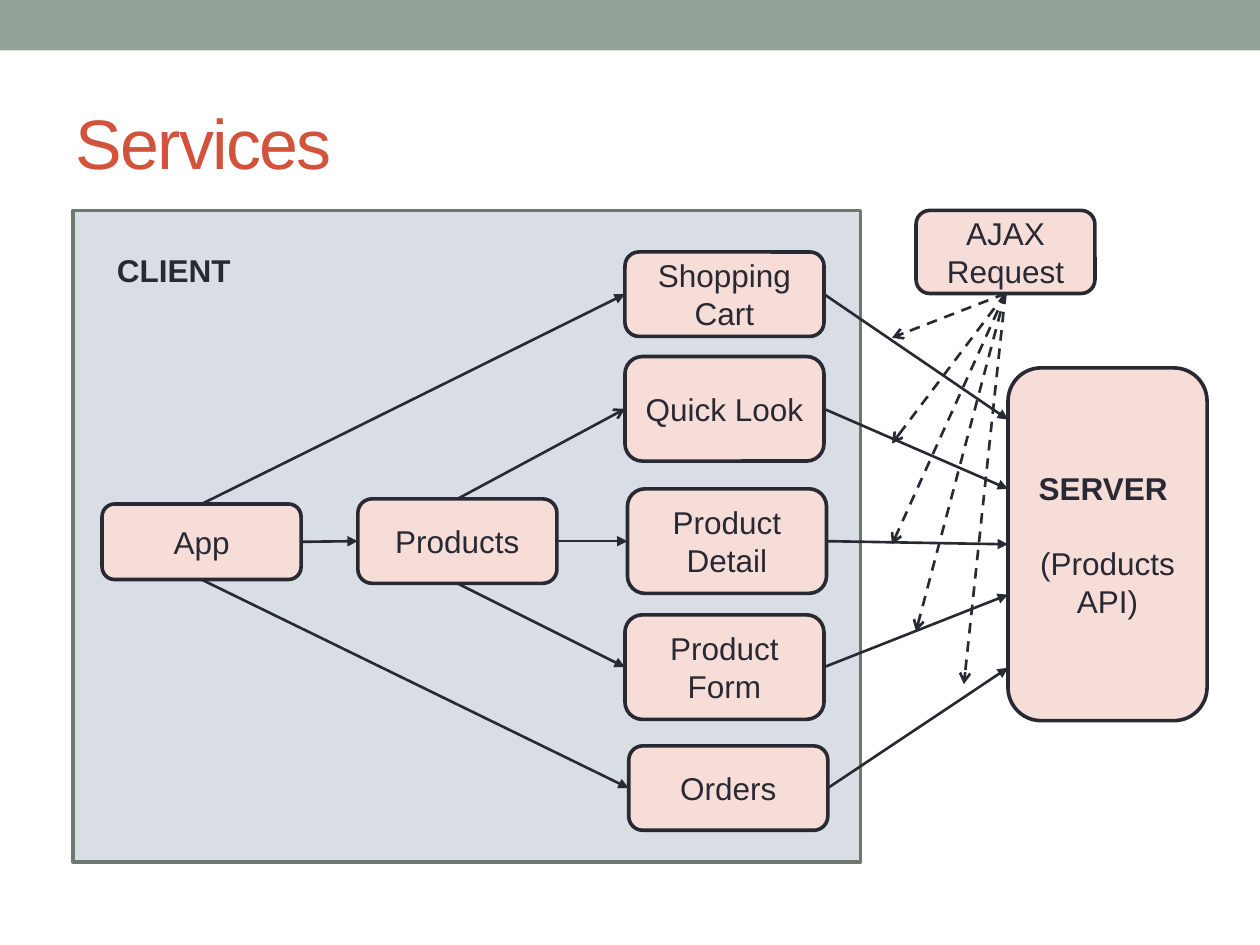
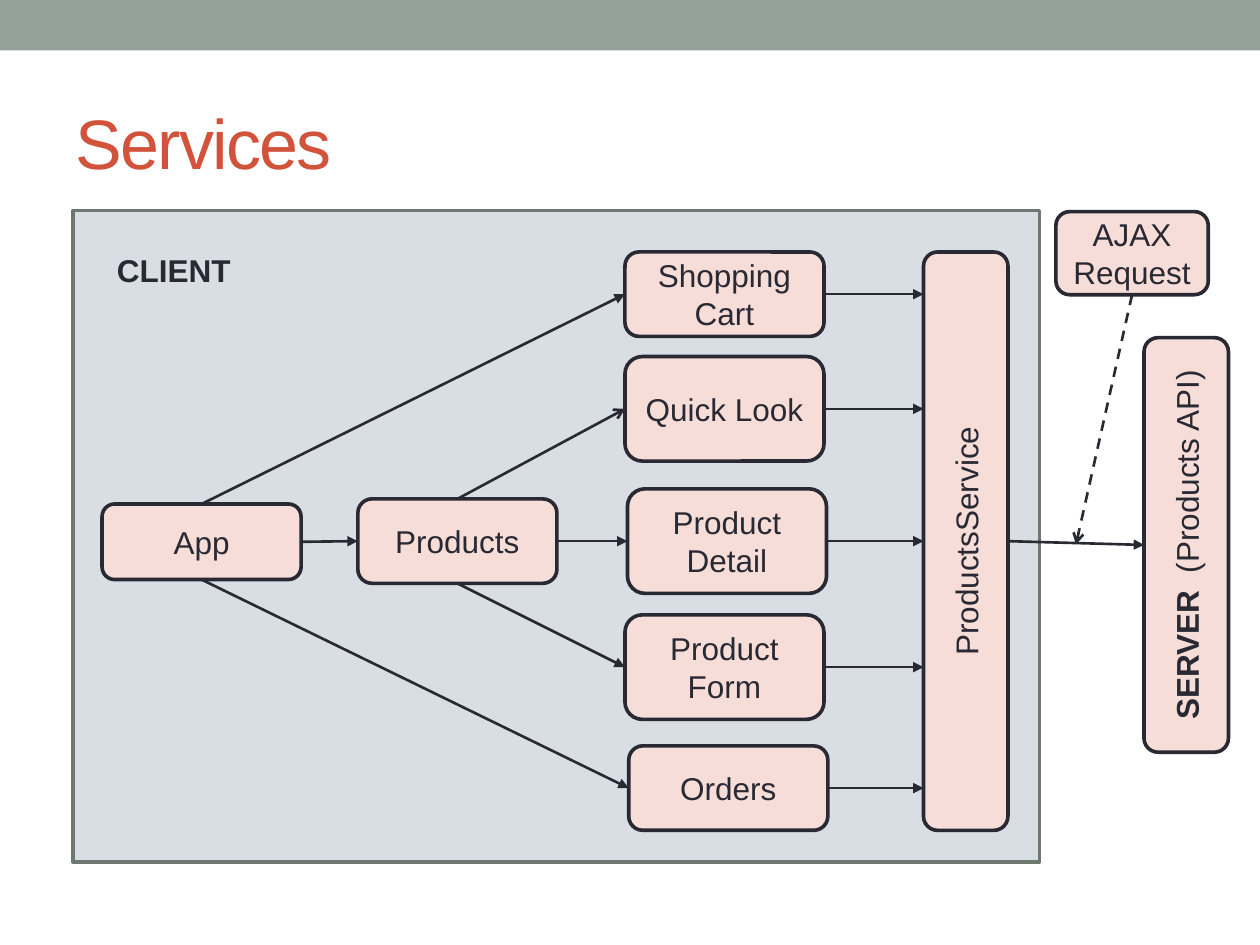
"""Builds two slides showing how a client reaches its server, without and with a service."""
from pptx import Presentation
from pptx.dml.color import RGBColor
from pptx.enum.dml import MSO_LINE
from pptx.enum.shapes import MSO_CONNECTOR, MSO_SHAPE
from pptx.enum.text import MSO_ANCHOR, MSO_AUTO_SIZE, PP_ALIGN
from pptx.oxml.ns import qn
from pptx.util import Inches, Pt
from lxml.etree import SubElement

COLORS = {
    "band": "93A299",
    "title": "D2533C",
    "panel": "D9DEE4",
    "panel_edge": "6D7871",
    "box": "F6DDD8",
    "ink": "292934",
}
TOP, LEFT, BOTTOM, RIGHT = range(4)
BOX_WIDTH = 1.58
EDGE = 2.08


class Diagram:
    """Holds the style and the slide being drawn."""

    font = "Arial"

    def __init__(self):
        self.deck = Presentation()
        self.deck.slide_width, self.deck.slide_height = Inches(10), Inches(7.5)
        self.slide = None

    def color(self, name):
        return RGBColor.from_string(COLORS[name])

    def style(self, paragraph, size=18, color="ink", bold=None, align=PP_ALIGN.LEFT):
        paragraph.alignment = align
        font = paragraph.font
        font.name, font.size, font.bold = self.font, Pt(size), bold
        font.color.rgb = self.color(color)

    def start(self, title):
        self.slide = self.deck.slides.add_slide(self.deck.slide_layouts[5])
        self.shape(MSO_SHAPE.RECTANGLE, (0, 0, 10, 0.4), "band")
        heading = self.slide.shapes.title
        heading.left, heading.top = Inches(0.5), Inches(0.58)
        heading.width, heading.height = Inches(9), Inches(1.08)
        frame = heading.text_frame
        frame.text = title
        frame.auto_size = MSO_AUTO_SIZE.NONE
        frame.vertical_anchor = MSO_ANCHOR.MIDDLE
        self.style(frame.paragraphs[0], 40, "title")
        frame.paragraphs[0].runs[0].font._element.set("spc", "-100")

    def shape(self, kind, place, fill, edge=None):
        shape = self.slide.shapes.add_shape(kind, *map(Inches, place))
        shape.shadow.inherit = False
        shape.fill.solid()
        shape.fill.fore_color.rgb = self.color(fill)
        if edge:
            shape.line.color.rgb = self.color(edge)
            shape.line.width = Pt(EDGE)
        else:
            shape.line.fill.background()
        return shape

    def panel(self, width):
        self.shape(MSO_SHAPE.RECTANGLE, (0.58, 1.67, width, 5.17), "panel", "panel_edge")

    def label(self, place, text):
        frame = self.slide.shapes.add_textbox(*map(Inches, place)).text_frame
        frame.word_wrap = False
        frame.auto_size = MSO_AUTO_SIZE.SHAPE_TO_FIT_TEXT
        frame.text = text
        self.style(frame.paragraphs[0], bold=True)

    def box(self, place, text, turned=False):
        box = self.shape(MSO_SHAPE.ROUNDED_RECTANGLE, place, "box", "ink")
        frame = box.text_frame
        frame.text = text
        frame.word_wrap = True
        frame.vertical_anchor = MSO_ANCHOR.MIDDLE
        if turned:
            frame._txBody.bodyPr.set("vert", "vert270")
        for paragraph in frame.paragraphs:
            self.style(paragraph, align=PP_ALIGN.CENTER)
        return box

    def arrow(self, source, side, target, target_side=None, head="triangle", dashed=False):
        """Draws from a side of a box to a side of another box or to a point."""
        arrow = self.slide.shapes.add_connector(MSO_CONNECTOR.STRAIGHT, 0, 0, 0, 0)
        arrow.begin_connect(source, side)
        if target_side is None:
            arrow.end_x, arrow.end_y = map(Inches, target)
        else:
            arrow.end_connect(target, target_side)
        arrow.line.color.rgb = self.color("ink")
        arrow.line.width = Pt(1.5)
        if dashed:
            arrow.line.dash_style = MSO_LINE.DASH
        SubElement(arrow.line._get_or_add_ln(), qn("a:tailEnd"), type=head)
        SubElement(arrow._element.spPr, qn("a:effectLst"))

    def client(self, panel_width):
        """Draws the client panel and returns its five views from top to bottom."""
        self.start("Services")
        self.panel(panel_width)
        self.label((0.83, 1.94, 1.11, 0.4), "CLIENT")
        app = self.box((0.81, 4, BOX_WIDTH, 0.6), "App")
        products = self.box((2.84, 3.96, BOX_WIDTH, 0.67), "Products")
        views = [
            self.box((left, top, BOX_WIDTH, height), name)
            for name, left, top, height in (
                ("Shopping Cart", 4.96, 2, 0.67),
                ("Quick Look", 4.96, 2.83, 0.83),
                ("Product Detail", 4.98, 3.88, 0.83),
                ("Product Form", 4.96, 4.88, 0.83),
                ("Orders", 4.99, 5.92, 0.67),
            )
        ]
        cart, quick_look, detail, form, orders = views
        self.arrow(app, RIGHT, products, LEFT)
        self.arrow(app, TOP, cart, LEFT)
        self.arrow(app, BOTTOM, orders, LEFT)
        self.arrow(products, TOP, quick_look, LEFT, head="arrow")
        self.arrow(products, RIGHT, detail, LEFT)
        self.arrow(products, BOTTOM, form, LEFT)
        return views

    def server(self, place, turned=False):
        """Draws the server with its name in bold, on one turned line or on two."""
        server = self.box(place, "SERVER ", turned)
        frame = server.text_frame
        name = frame.paragraphs[0]
        name.runs[0].font.bold = True
        if turned:
            name.add_run().text = " (Products API)"
        else:
            name.space_after = Pt(21.5)
            api = frame.add_paragraph()
            api.text = "(Products API)"
            self.style(api, align=PP_ALIGN.CENTER)
        return server

    def request(self, place, targets):
        """Draws the request box and a dashed arrow to each call it stands for."""
        request = self.box(place, "AJAX Request")
        for target in targets:
            self.arrow(request, BOTTOM, target, head="arrow", dashed=True)


diagram = Diagram()

views = diagram.client(6.25)
server_left = 8
diagram.server((server_left, 2.92, BOX_WIDTH, 2.8))
for view, entry in zip(views, (3.33, 3.88, 4.32, 4.72, 5.3)):
    diagram.arrow(view, RIGHT, (server_left, entry))
diagram.request(
    (7.27, 1.67, 1.42, 0.66),
    [(7.08, 2.68), (7.08, 3.52), (7.08, 4.32), (7.27, 5.01), (7.65, 5.43)],
)

views = diagram.client(7.67)
service_left = 7.33
service = diagram.box((service_left, 2, 0.67, 4.59), "ProductsService", turned=True)
for view in views:
    middle = (view.top + view.height / 2) / Inches(1)
    diagram.arrow(view, RIGHT, (service_left, middle))
server = diagram.server((9.08, 2.68, 0.67, 3.29), turned=True)
diagram.arrow(service, RIGHT, server, LEFT)
diagram.request((8.38, 1.68, 1.21, 0.66), [(8.54, 4.32)])

diagram.deck.save("out.pptx")
